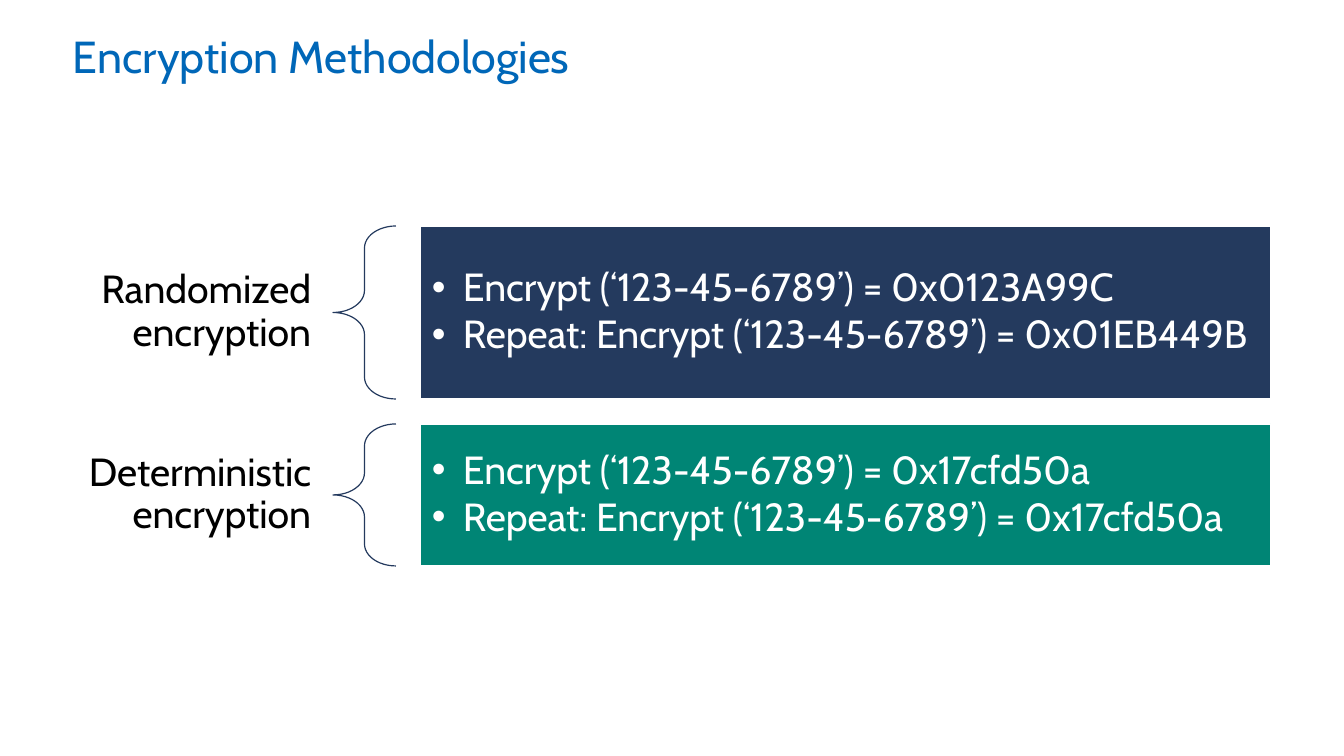
import pptx
import pptx.util
import pptx.dml.color
import pptx.enum.shapes
import pptx.enum.text
import pptx.oxml.ns
import lxml.etree

PX = 914400 / 100.8
NAVY, GREEN, BLUE, BLACK, WHITE = "243A5E", "008575", "0067B8", "000000", "FFFFFF"
SHAPES = pptx.enum.shapes.MSO_SHAPE
ALIGN = pptx.enum.text.PP_ALIGN
ANCHOR = pptx.enum.text.MSO_ANCHOR


def add_box(kind, left, top, width, height, fill, line):
    """Add a preset shape, placed in px; a fill or line of None stays empty."""
    shape = slide.shapes.add_shape(kind, *(round(n * PX) for n in (left, top, width, height)))
    shape.shadow.inherit = False
    for part, color in ((shape.fill, fill), (shape.line.fill, line)):
        if color:
            part.solid()
            part.fore_color.rgb = pptx.dml.color.RGBColor.from_string(color)
        else:
            part.background()
    if line:
        shape.line.width = pptx.util.Pt(0.85)
    return shape


def write(shape, lines, size, color, align, anchor, inset_x, inset_y, space_after, bullet_indent=0):
    """Fill a shape with one paragraph per line; insets and indent are in px."""
    frame = shape.text_frame
    frame_format = {
        "word_wrap": True, "vertical_anchor": anchor,
        "margin_left": round(inset_x * PX), "margin_right": round(inset_x * PX),
        "margin_top": round(inset_y * PX), "margin_bottom": round(inset_y * PX),
    }
    for name, value in frame_format.items():
        setattr(frame, name, value)
    frame.text = "\n".join(lines)
    for paragraph in frame.paragraphs:
        paragraph.alignment = align
        paragraph.line_spacing = 0.9
        paragraph.space_after = pptx.util.Pt(space_after)
        font = paragraph.font
        font.name, font.size = "Cabin", pptx.util.Pt(size)
        font.color.rgb = pptx.dml.color.RGBColor.from_string(color)
        for run in paragraph.runs:
            run.font.name, run.font.size = "Cabin", pptx.util.Pt(size)
            run.font.color.rgb = pptx.dml.color.RGBColor.from_string(color)
        if bullet_indent:
            properties = paragraph._p.get_or_add_pPr()
            indent = round(bullet_indent * PX)
            properties.set("marL", str(indent))
            properties.set("indent", str(-indent))
            font_tag, char_tag = (pptx.oxml.ns.qn(tag) for tag in ("a:buFont", "a:buChar"))
            bullet_font = lxml.etree.Element(font_tag, typeface="Arial")
            bullet = lxml.etree.Element(char_tag, char="•")
            default_run = properties.find(pptx.oxml.ns.qn("a:defRPr"))
            default_run.addprevious(bullet_font)
            default_run.addprevious(bullet)


presentation = pptx.Presentation()
presentation.slide_width = round(1344 * PX)
presentation.slide_height = round(756 * PX)
slide = presentation.slides.add_slide(presentation.slide_layouts[6])

title = add_box(SHAPES.RECTANGLE, 73, 35, 1200, 50, WHITE, None)
write(title, ["Encryption Methodologies"], 32, BLUE, ALIGN.LEFT, ANCHOR.TOP, 0, 0, 0)

LABEL_HEIGHT = 142
methods = [
    ("Randomized encryption", 226, 173, NAVY, "0x0123A99C", "0x01EB449B"),
    ("Deterministic encryption", 424, 142, GREEN, "0x17cfd50a", "0x17cfd50a"),
]
for name, top, height, color, first, second in methods:
    label_top = top + (height - LABEL_HEIGHT) / 2
    label = add_box(SHAPES.RECTANGLE, 20, label_top, 313, LABEL_HEIGHT, None, None)
    write(label, [name], 28, BLACK, ALIGN.RIGHT, ANCHOR.MIDDLE, 22, 8, 8)

    brace = add_box(SHAPES.LEFT_BRACE, 333, top, 63, height, None, NAVY)
    brace.adjustments[0] = 0.35
    brace.adjustments[1] = 0.5

    call = "Encrypt (‘123-45-6789’) = "
    panel = add_box(SHAPES.RECTANGLE, 420, top, 851, height, color, WHITE)
    write(panel, [call + first, "Repeat: " + call + second], 28, WHITE,
          ALIGN.LEFT, ANCHOR.MIDDLE, 12, 12, 3.4, bullet_indent=31)

presentation.save("out.pptx")
